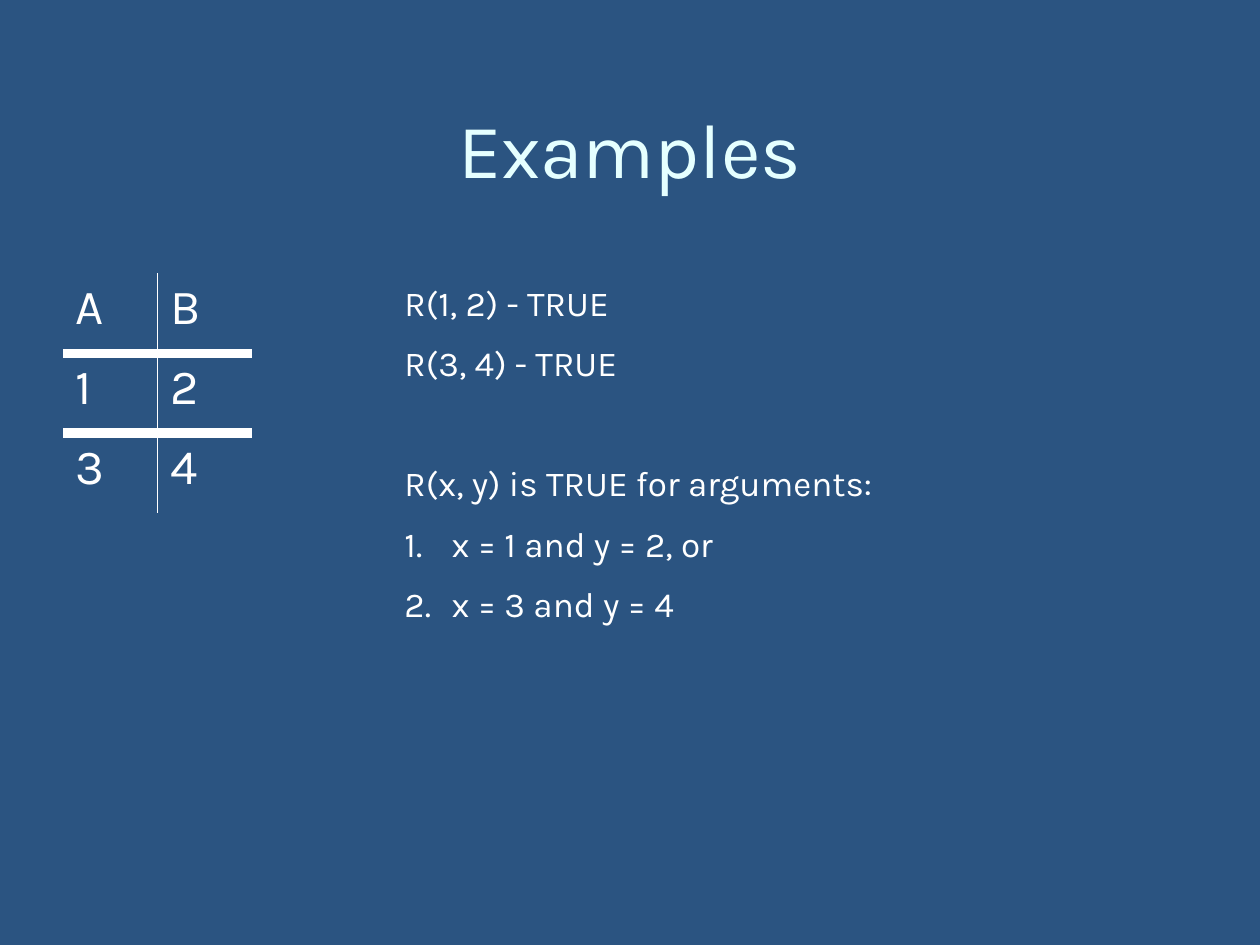
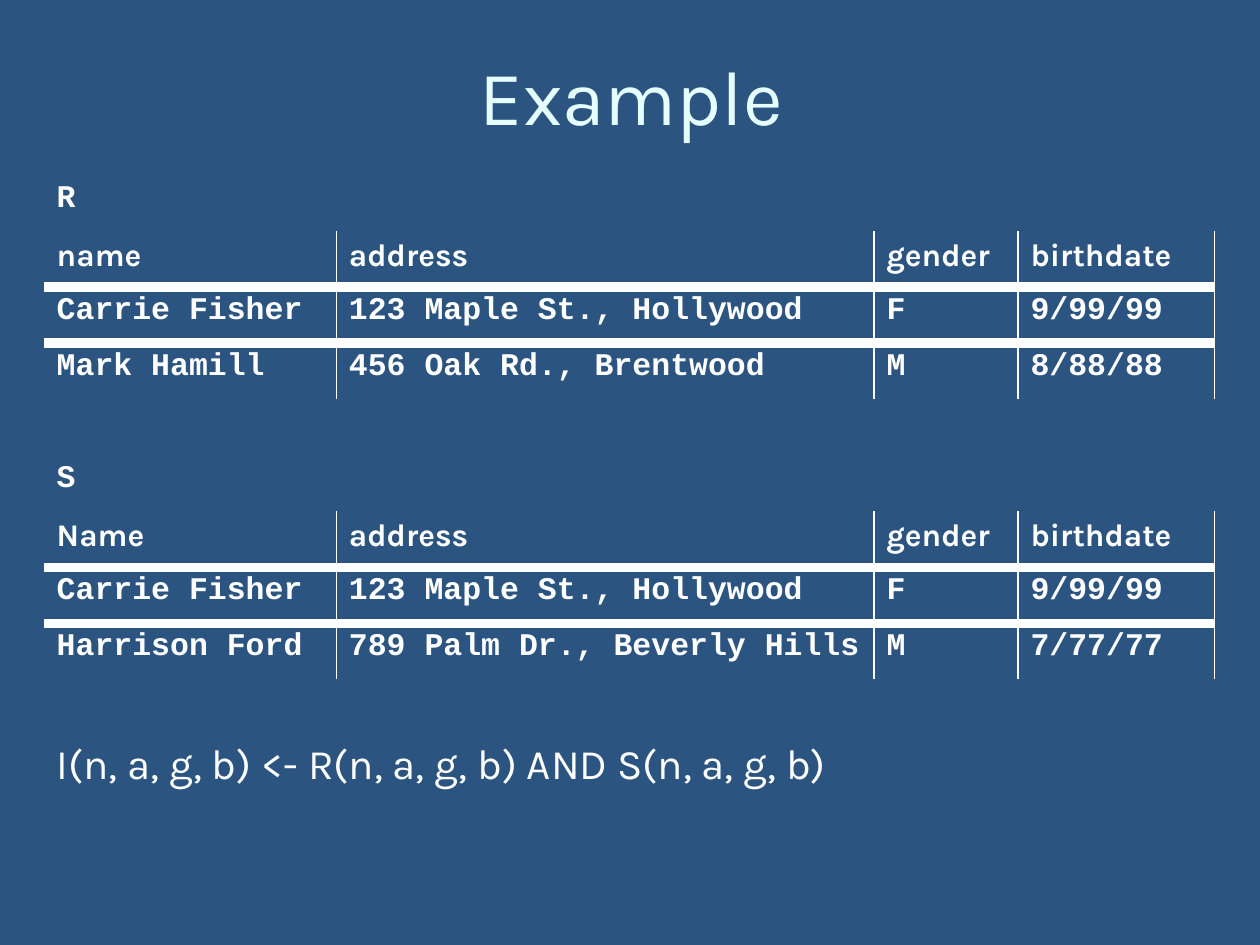
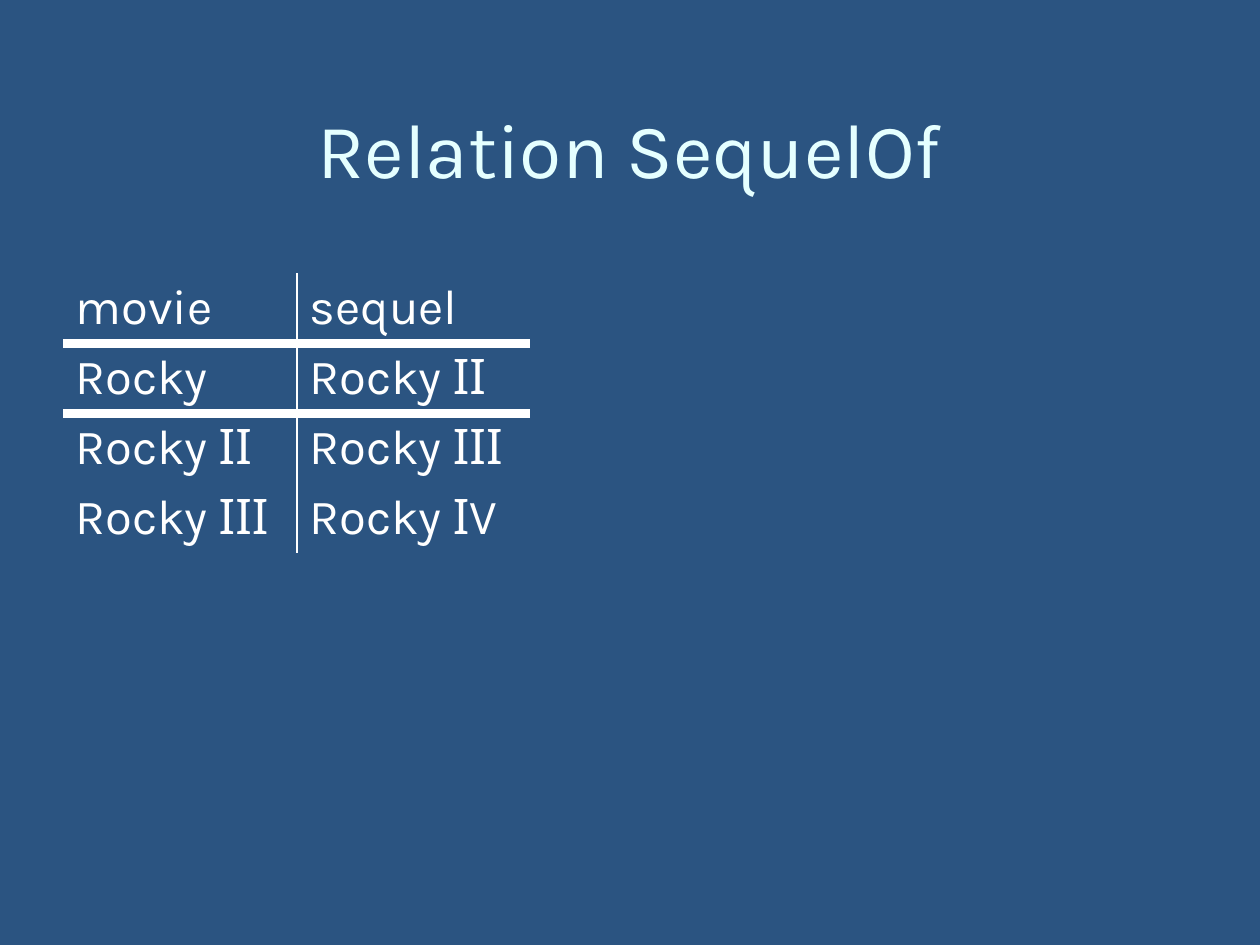
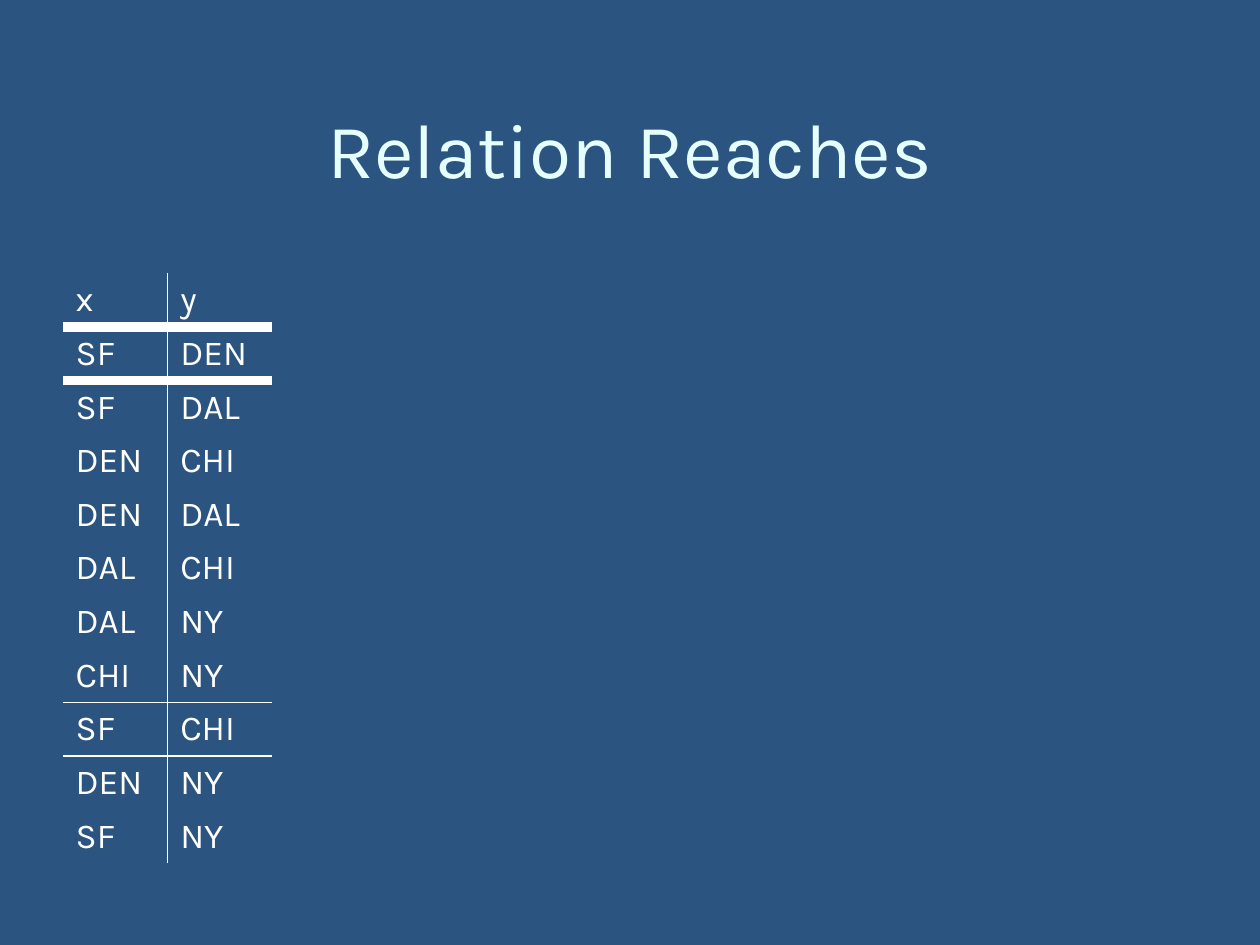
from lxml.etree import SubElement
from pptx import Presentation
from pptx.dml.color import RGBColor
from pptx.enum.text import MSO_ANCHOR, MSO_AUTO_SIZE, PP_ALIGN
from pptx.oxml.ns import qn
from pptx.util import Cm, Pt

COLORS = {"background": "2B5481", "title": "E5FFFF", "text": "FFFFFF"}
SANS, MONO = "Karla", "Courier New"
CONTENT_LAYOUT, TITLE_LAYOUT = 1, 5
PLAIN_TABLE = "{2D5ABB26-0587-4C30-8999-92F81FD0307C}"
THIN, THICK = 1, 6
TABLE_LEFT, TABLE_TOP = 1.27, 5.51

# First and last column of the merged cells in a row
PAIRS = ((1, 2), (3, 4))
SHIFTED = ((2, 3), (4, 5))
WHOLE = ((0, 5),)


def write(para, text, size=20, font=SANS, color="text", bold=False, align=None, before=0):
    para.alignment = align
    para.space_before = Pt(before)
    span = para.add_run()
    span.text = text
    span.font.size = Pt(size)
    span.font.name = font
    span.font.bold = bold
    span.font.color.rgb = RGBColor.from_string(COLORS[color])


def place(shape, left, top, width, height):
    shape.left, shape.top = Cm(left), Cm(top)
    shape.width, shape.height = Cm(width), Cm(height)


def add_page(deck, title, layout=TITLE_LAYOUT, left=1.27, top=1.07):
    page = deck.slides.add_slide(deck.slide_layouts[layout])
    box = page.shapes.title
    place(box, left, top, 22.86, 3.81)
    box.text_frame.vertical_anchor = MSO_ANCHOR.MIDDLE
    write(box.text_frame.paragraphs[0], title, size=44, color="title", align=PP_ALIGN.CENTER)
    return page


def add_list(page, items):
    """Fill the body placeholder; each item is (text, space before, numbered)."""
    box = page.placeholders[1]
    place(box, 7.9, 5.54, 10.21, 7.44)
    frame = box.text_frame
    frame.auto_size = MSO_AUTO_SIZE.SHAPE_TO_FIT_TEXT
    for index, (text, before, numbered) in enumerate(items):
        para = frame.paragraphs[0] if index == 0 else frame.add_paragraph()
        properties = para._p.get_or_add_pPr()
        properties.set("marL", str(Cm(0.95)))
        properties.set("indent", str(-Cm(0.95)))
        if numbered:
            SubElement(properties, qn("a:buFont"), typeface=SANS)
            SubElement(properties, qn("a:buAutoNum"), type="arabicPeriod")
        else:
            SubElement(properties, qn("a:buNone"))
        write(para, text, before=before)


def set_borders(cell, widths):
    """Draw the borders given as {side: points}, ahead of the cell fill."""
    properties = cell._tc.get_or_add_tcPr()
    sides = [side for side in "LRTB" if widths.get(side)]
    for index, side in enumerate(sides):
        line = SubElement(properties, qn(f"a:ln{side}"), w=str(Pt(widths[side])))
        fill = SubElement(line, qn("a:solidFill"))
        SubElement(fill, qn("a:srgbClr"), val=COLORS["text"])
        properties.insert(index, line)


def add_relation(page, rows, columns, row_height, rules, left=TABLE_LEFT, top=TABLE_TOP):
    """Add a table of (values, spans, format) rows; rules maps a row to the line below it."""
    frame = page.shapes.add_table(len(rows), len(columns), Cm(left), Cm(top),
                                  Cm(sum(columns)), Cm(row_height * len(rows)))
    table = frame.table
    table.first_row = table.horz_banding = False
    table._tbl.tblPr.find(qn("a:tableStyleId")).text = PLAIN_TABLE
    for column, width in zip(table.columns, columns):
        column.width = Cm(width)
    for row_index, (values, spans, style) in enumerate(rows):
        table.rows[row_index].height = Cm(row_height)
        for first, last in spans:
            table.cell(row_index, first).merge(table.cell(row_index, last))
        starts = [index for index in range(len(columns))
                  if not any(first < index <= last for first, last in spans)]
        ruled = len(values) > 1
        for index in range(len(columns)):
            cell = table.cell(row_index, index)
            cell.fill.background()
            set_borders(cell, {
                "L": THIN if ruled and index in starts[1:] else 0,
                "R": THIN if ruled and index + 1 in starts else 0,
                "T": rules.get(row_index - 1),
                "B": rules.get(row_index),
            })
        for index, value in zip(starts, values):
            write(table.cell(row_index, index).text_frame.paragraphs[0], value, **style)


def plain_rows(records, size):
    return [(record, (), {"size": size}) for record in records]


def named_relation(name, name_spans, header, records):
    """Rows for a relation's name, its header and its records."""
    mono = {"size": 18, "font": MONO, "bold": True}
    sans = {**mono, "font": SANS}
    return [([name], name_spans, mono), (header, PAIRS, sans),
            *((record, PAIRS, mono) for record in records)]


def main():
    deck = Presentation()
    deck.slide_width, deck.slide_height = Cm(25.4), Cm(19.05)
    fill = deck.slide_master.background.fill
    fill.solid()
    fill.fore_color.rgb = RGBColor.from_string(COLORS["background"])

    # Examples
    page = add_page(deck, "Examples", layout=CONTENT_LAYOUT)
    add_relation(page, plain_rows([("A", "B"), ("1", "2"), ("3", "4")], 28),
                 [1.91] * 2, 1.61, {0: THICK})
    add_list(page, [
        ("R(1, 2) - TRUE", 0, False),
        ("R(3, 4) - TRUE", 10.6, False),
        ("R(x, y) is TRUE for arguments:", 44.6, False),
        ("x = 1 and y = 2, or", 10.6, True),
        ("x = 3 and y = 4", 10.6, True),
    ])

    # Intersection of R and S
    page = add_page(deck, "Example", left=1.3, top=0)
    carrie = ("Carrie Fisher", "123 Maple St., Hollywood", "F", "9/99/99")
    attributes = ("address", "gender", "birthdate")
    rows = [
        *named_relation("R", PAIRS, ("name", *attributes), [
            carrie, ("Mark Hamill", "456 Oak Rd., Brentwood", "M", "8/88/88")]),
        ((), SHIFTED, {}),
        *named_relation("S", SHIFTED, ("Name", *attributes), [
            carrie, ("Harrison Ford", "789 Palm Dr., Beverly Hills", "M", "7/77/77")]),
        ((), SHIFTED, {}),
        (["I(n, a, g, b) <- R(n, a, g, b) AND S(n, a, g, b)"], WHOLE, {"size": 24}),
        ((), PAIRS, {}),
        ((), PAIRS, {}),
    ]
    add_relation(page, rows, [5.89, 5.89, 4.95, 0.94, 1.96, 3.96], 1.13,
                 {1: THICK, 6: THICK}, left=0.89, top=3.53)

    # Sequels
    page = add_page(deck, "Relation SequelOf")
    movies = ["Rocky", "Rocky ІІ", "Rocky ІІІ", "Rocky ІV"]
    records = [("movie", "sequel"), *zip(movies, movies[1:])]
    add_relation(page, plain_rows(records, 28), [4.72, 4.7], 1.3, {0: THICK})

    # Reachable cities
    page = add_page(deck, "Relation Reaches")
    flights = [("SF", "DEN"), ("SF", "DAL"), ("DEN", "CHI"), ("DEN", "DAL"),
               ("DAL", "CHI"), ("DAL", "NY"), ("CHI", "NY")]
    derived = [("SF", "CHI"), ("DEN", "NY"), ("SF", "NY")]
    add_relation(page, plain_rows([("x", "y"), *flights, *derived], 20),
                 [2.11] * 2, 1.02, {0: THICK, len(flights): THIN})

    deck.save("out.pptx")


if __name__ == "__main__":
    main()
